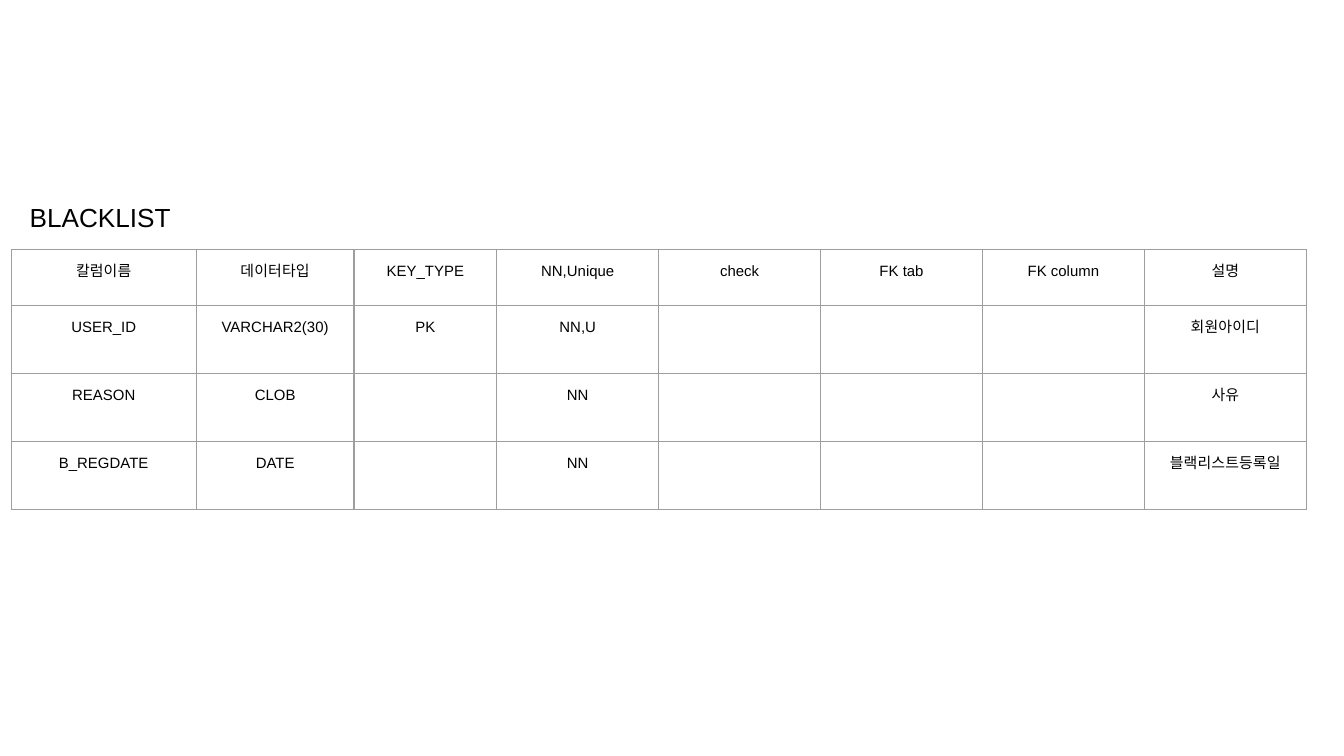
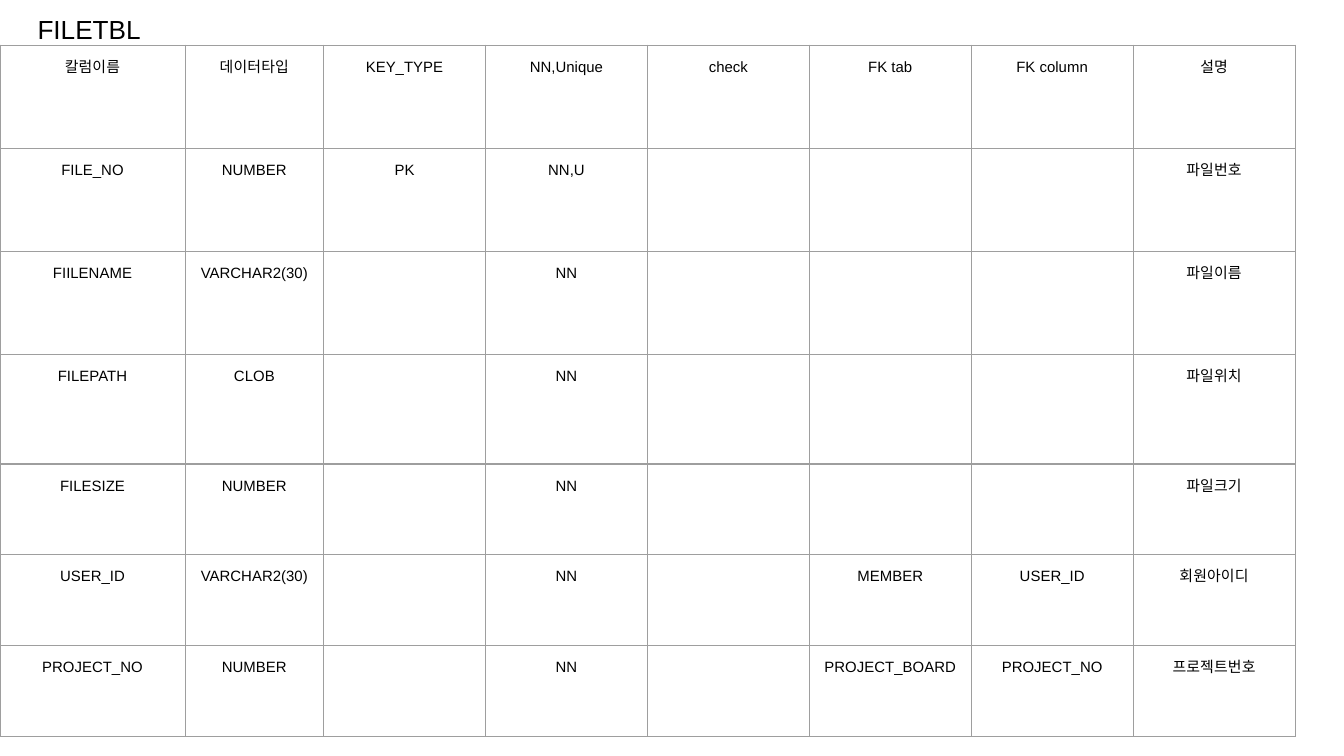
from lxml import etree
from pptx import Presentation
from pptx import util as u
from pptx.dml.color import RGBColor
from pptx.enum import text
from pptx.oxml import ns

BLACK = RGBColor(0x00, 0x00, 0x00)
GRID = RGBColor(0x9E, 0x9E, 0x9E)
FONT = "Arial"
INSET = u.Pt(7.2)
HEADINGS = ["칼럼이름", "데이터타입", "KEY_TYPE", "NN,Unique",
            "check", "FK tab", "FK column", "설명"]
NAME_WIDTH, COLUMN_WIDTH = 99.2, 86.75

BLACKLIST = [
    HEADINGS,
    ["USER_ID", "VARCHAR2(30)", "PK", "NN,U", "", "", "", "회원아이디"],
    ["REASON", "CLOB", "", "NN", "", "", "", "사유"],
    ["B_REGDATE", "DATE", "", "NN", "", "", "", "블랙리스트등록일"],
]
FILETBL = [
    HEADINGS,
    ["FILE_NO", "NUMBER", "PK", "NN,U", "", "", "", "파일번호"],
    ["FIILENAME", "VARCHAR2(30)", "", "NN", "", "", "", "파일이름"],
    ["FILEPATH", "CLOB", "", "NN", "", "", "", "파일위치"],
    ["FILESIZE", "NUMBER", "", "NN", "", "", "", "파일크기"],
    ["USER_ID", "VARCHAR2(30)", "", "NN", "", "MEMBER", "USER_ID", "회원아이디"],
    ["PROJECT_NO", "NUMBER", "", "NN", "", "PROJECT_BOARD", "PROJECT_NO", "프로젝트번호"],
]


def write(frame, words, size=8, color=BLACK, align=text.PP_ALIGN.CENTER):
    """Put one formatted paragraph into a text frame."""
    para = frame.paragraphs[0]
    para.alignment = align
    span = para.add_run()
    span.text = words
    span.font.size = u.Pt(size)
    span.font.name = FONT
    span.font.color.rgb = color
    east_asian = etree.SubElement(span.font._element, ns.qn("a:ea"))
    east_asian.set("typeface", FONT)


def set_insets(target):
    """Give a cell or text frame the shared margins."""
    target.margin_left = target.margin_right = INSET
    target.margin_top = target.margin_bottom = INSET


def add_title(page, words, left, top):
    """Add the table name as a left-aligned text box."""
    box = page.shapes.add_textbox(u.Pt(left), u.Pt(top), u.Pt(456), u.Pt(53))
    frame = box.text_frame
    frame.word_wrap = True
    set_insets(frame)
    write(frame, words, size=14, align=text.PP_ALIGN.LEFT)


def draw_borders(cell):
    """Outline all four sides of a cell."""
    properties = cell._tc.get_or_add_tcPr()
    for index, side in enumerate("LRTB"):
        line = etree.Element(ns.qn("a:ln" + side), w=str(u.Pt(0.75)))
        fill = etree.SubElement(line, ns.qn("a:solidFill"))
        etree.SubElement(fill, ns.qn("a:srgbClr"), val=str(GRID))
        properties.insert(index, line)


def add_schema(page, rows, left, top, widths, heights):
    """Add a bordered table that describes the columns of a database table."""
    shape = page.shapes.add_table(len(rows), len(widths), u.Pt(left), u.Pt(top),
                                  u.Pt(sum(widths)), u.Pt(sum(heights)))
    table = shape.table
    table.first_row = table.horz_banding = False
    for column, width in zip(table.columns, widths):
        column.width = u.Pt(width)
    for row, height, values in zip(table.rows, heights, rows):
        row.height = u.Pt(height)
        for cell, value in zip(row.cells, values):
            cell.fill.background()
            set_insets(cell)
            draw_borders(cell)
            if value:
                write(cell.text_frame, value)


def main():
    """Build both schema slides."""
    deck = Presentation()
    deck.slide_width, deck.slide_height = u.Pt(720), u.Pt(405)
    blank = deck.slide_layouts[6]

    page = deck.slides.add_slide(blank)
    add_schema(page, BLACKLIST, 6, 133.75,
               [NAME_WIDTH, 84.5, 76.5] + [COLUMN_WIDTH] * 5, [30] * 4)
    add_title(page, "BLACKLIST", 8.75, 100.75)

    page = deck.slides.add_slide(blank)
    add_title(page, "FILETBL", 13, 0)
    add_schema(page, FILETBL, 0, 24.25,
               [NAME_WIDTH, 74.2] + [COLUMN_WIDTH] * 6,
               [55.3] * 3 + [58.5] + [48.75] * 3)

    deck.save("out.pptx")


if __name__ == "__main__":
    main()
